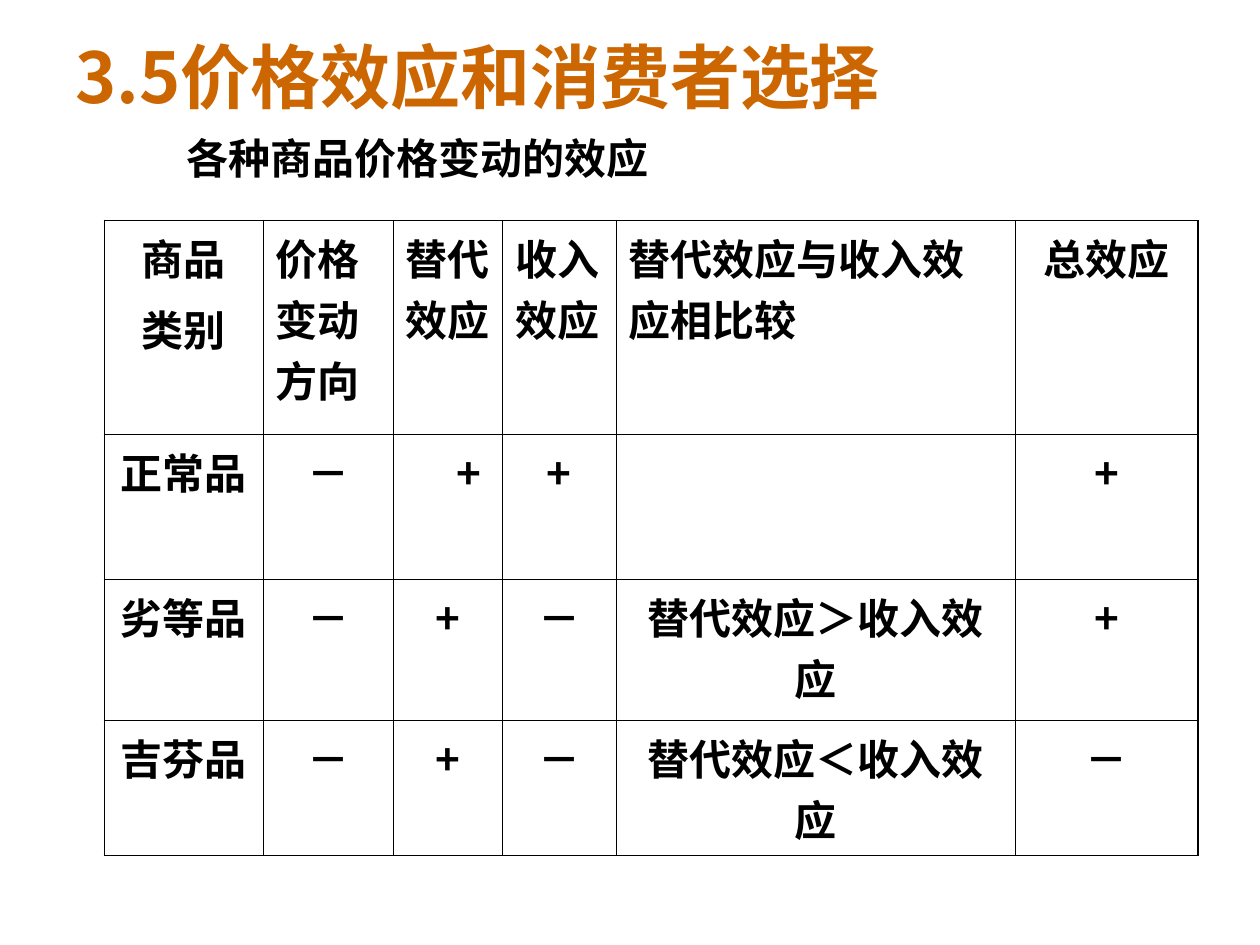
from pptx import Presentation
from pptx.dml.color import RGBColor
from pptx.enum.text import MSO_ANCHOR, PP_ALIGN
from pptx.oxml.ns import qn
from pptx.util import Inches, Pt
from lxml import etree

LEFT, CENTER = PP_ALIGN.LEFT, PP_ALIGN.CENTER
MIDDLE = MSO_ANCHOR.MIDDLE
BLACK = RGBColor(0x00, 0x00, 0x00)
WHITE = RGBColor(0xFF, 0xFF, 0xFF)
ORANGE = RGBColor(0xCC, 0x66, 0x00)
FONT = "Noto Sans CJK SC"
THIN, THICK = 0.45, 1.08

COLUMNS = [1.26, 1.03, 0.87, 0.9, 3.17, 1.45]
ROWS = [1.7, 1.15, 1.12, 1.07]
EFFECTS = [
    ["商品\n类别", "价格变动方向", "替代效应", "收入效应", "替代效应与收入效应相比较", "总效应"],
    ["正常品", "－", "+", "+", "", "+"],
    ["劣等品", "－", "+", "－", "替代效应＞收入效应", "+"],
    ["吉芬品", "－", "+", "－", "替代效应＜收入效应", "－"],
]
LEFT_CELLS = {(0, 1): 0, (0, 2): 0, (0, 3): 0, (0, 4): 0, (1, 2): 0.4}


def write(p, text, size=24, color=BLACK, align=LEFT, before=0, indent=0):
    p.alignment = align
    if before:
        p.space_before = Pt(before)
    if indent:
        p._p.get_or_add_pPr().set("marL", str(Inches(indent)))
    r = p.add_run()
    r.text = text
    r.font.name = FONT
    r.font.size = Pt(size)
    r.font.bold = True
    r.font.color.rgb = color
    ea = etree.SubElement(r._r.get_or_add_rPr(), qn("a:ea"))
    ea.set("typeface", FONT)


def set_borders(cell, widths):
    tcPr = cell._tc.get_or_add_tcPr()
    for side, width in zip("LRTB", widths):
        ln = etree.SubElement(tcPr, qn(f"a:ln{side}"), w=str(Pt(width)))
        fill = etree.SubElement(ln, qn("a:solidFill"))
        etree.SubElement(fill, qn("a:srgbClr"), val=str(BLACK))


def add_heading(s):
    tf = s.shapes.add_textbox(Inches(0.5), Inches(0.3), Inches(9), Inches(1.25)).text_frame
    tf.word_wrap = True
    tf.vertical_anchor = MIDDLE
    tf.margin_bottom = Inches(0.18)
    write(tf.paragraphs[0], "3.5价格效应和消费者选择", size=40, color=ORANGE)
    write(tf.add_paragraph(), "各种商品价格变动的效应", before=8.5, indent=0.88)


def fill_cell(cell, text, row, col):
    last = len(COLUMNS) - 1
    set_borders(cell, [
        THICK if col == 0 else THIN,
        THICK if col == last else THIN,
        THICK if row == 0 and col < 4 else THIN,
        THIN,
    ])
    cell.fill.solid()
    cell.fill.fore_color.rgb = WHITE
    align = LEFT if (row, col) in LEFT_CELLS else CENTER
    indent = LEFT_CELLS.get((row, col), 0)
    tf = cell.text_frame
    for i, line in enumerate(text.split("\n") if text else []):
        p = tf.add_paragraph() if i else tf.paragraphs[0]
        write(p, line, align=align, before=6 if i else 0, indent=indent)


def add_effects_table(s):
    table = s.shapes.add_table(
        len(ROWS), len(COLUMNS), Inches(0.83), Inches(1.75),
        Inches(sum(COLUMNS)), Inches(sum(ROWS)),
    ).table
    table.first_row = False
    table.horz_banding = False
    for column, width in zip(table.columns, COLUMNS):
        column.width = Inches(width)
    for row, height in zip(table.rows, ROWS):
        row.height = Inches(height)
    for i, texts in enumerate(EFFECTS):
        for j, text in enumerate(texts):
            fill_cell(table.cell(i, j), text, i, j)


def main():
    prs = Presentation()
    prs.slide_width, prs.slide_height = Inches(10), Inches(7.5)
    s = prs.slides.add_slide(prs.slide_layouts[6])
    add_heading(s)
    add_effects_table(s)
    prs.save("out.pptx")


if __name__ == "__main__":
    main()
